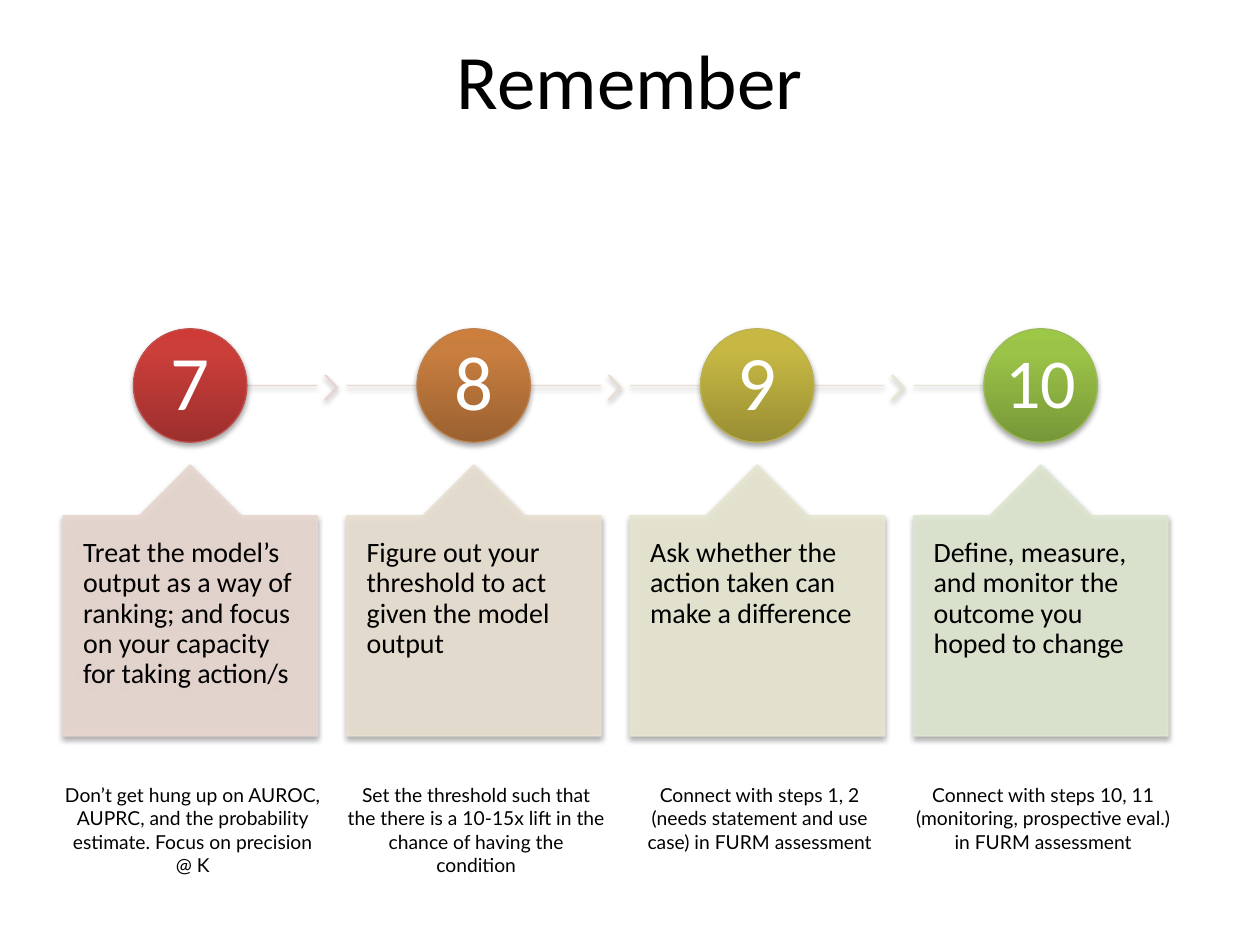
from copy import deepcopy

from lxml.etree import SubElement
from pptx import Presentation
from pptx.dml.color import RGBColor
from pptx.enum.shapes import MSO_CONNECTOR as Connector, MSO_SHAPE as Shape
from pptx.enum.text import MSO_ANCHOR as Anchor, MSO_AUTO_SIZE as AutoSize, PP_ALIGN as Align
from pptx.oxml.ns import qn
from pptx.util import Emu, Pt

SCALE = 9144
COLORS = {
    "black": "000000", "white": "FFFFFF",
    "7_dark": "9C2F2D", "7_mid": "CB3E3A", "7_light": "CE3B37", "7_edge": "C0504D",
    "7_track": "E8D0D0", "7_chevron": "E8D3D0", "7_callout": "E8D7D0",
    "8_dark": "9A6130", "8_mid": "C87E3F", "8_light": "CC7E3C", "8_edge": "BE8351",
    "8_track": "E8DAD0", "8_chevron": "E8DDD0", "8_callout": "E8E0D1",
    "9_dark": "988E34", "9_mid": "C6B843", "9_light": "C9BB41", "9_edge": "BDB255",
    "9_track": "E8E2D1", "9_chevron": "E7E5D1", "9_callout": "E7E7D1",
    "10_dark": "779737", "10_mid": "9BC348", "10_light": "9DC746", "10_edge": "9BBB59",
    "10_track": "E4E7D1", "10_callout": "DEE7D1",
}
STEPS = [
    ("7", 44, "Treat the model’s output as a way of ranking; and focus on your capacity for taking action/s",
     "Don’t get hung up on AUROC, AUPRC, and the probability estimate. Focus on precision @ K"),
    ("8", 44, "Figure out your threshold to act given the model output",
     "Set the threshold such that the there is a 10-15x lift in the chance of having the condition"),
    ("9", 44, "Ask whether the action taken can make a difference",
     "Connect with steps 1, 2\n(needs statement and use case) in FURM assessment"),
    ("10", 40, "Define, measure, and monitor the outcome you hoped to change",
     "Connect with steps 10, 11 (monitoring, prospective eval.)\nin FURM assessment"),
]
LEFT, PITCH, CARD_WIDTH = 50, 225, 202
CIRCLE, TRACK_Y = 90, 306


def px(value):
    return Emu(value * SCALE)


def rgb(name):
    return RGBColor.from_string(COLORS[name])


def write_text(shape, text, size=16, font="Calibri", color="black", align=Align.LEFT,
               anchor=Anchor.TOP, insets=(0, 0), spacing=None, wrap=True):
    frame = shape.text_frame
    frame.word_wrap = wrap
    frame.vertical_anchor = anchor
    frame.margin_left = frame.margin_right = px(insets[0])
    frame.margin_top = frame.margin_bottom = px(insets[1])
    frame.text = text
    for paragraph in frame.paragraphs:
        paragraph.alignment = align
        paragraph.line_spacing = spacing
        paragraph.font.size = Pt(size)
        paragraph.font.name = font
        paragraph.font.color.rgb = rgb(color)


class SlideBuilder:
    def __init__(self, slide):
        self.slide = slide
        self.line_width = Pt(0.75)
        self.opacity = "90000"

    def add_shadow(self, properties):
        effects = properties.find(qn("a:effectLst"))
        if effects is None:
            effects = SubElement(properties, qn("a:effectLst"))
        shadow = SubElement(effects, qn("a:outerShdw"), blurRad="40000", dist="23000",
                            dir="5400000", rotWithShape="0")
        color = SubElement(shadow, qn("a:srgbClr"), val=COLORS["black"])
        SubElement(color, qn("a:alpha"), val="35000")

    def soften(self, properties):
        for color in list(properties.iter(qn("a:srgbClr"))):
            SubElement(color, qn("a:alpha"), val=self.opacity)

    def title(self, text):
        title = self.slide.shapes.title
        title.left, title.top, title.width, title.height = px(0), px(0), px(1000), px(125)
        write_text(title, text, size=44, align=Align.CENTER, anchor=Anchor.MIDDLE, insets=(10, 5))

    def shape(self, kind, left, top, width, height, edge, adjustments=()):
        shape = self.slide.shapes.add_shape(kind, px(left), px(top), px(width), px(height))
        for index, value in enumerate(adjustments):
            shape.adjustments[index] = value
        shape.line.color.rgb = rgb(edge)
        shape.line.width = self.line_width
        shape.shadow.inherit = False
        return shape

    def tinted(self, kind, left, top, width, height, color, adjustments):
        shape = self.shape(kind, left, top, width, height, color, adjustments)
        shape.fill.solid()
        shape.fill.fore_color.rgb = rgb(color)
        self.soften(shape._element.spPr)
        self.add_shadow(shape._element.spPr)
        return shape

    def track(self, start, end, color):
        line = self.slide.shapes.add_connector(
            Connector.STRAIGHT, px(start), px(TRACK_Y), px(end), px(TRACK_Y))
        line.line.color.rgb = rgb(color)
        line.line.width = self.line_width
        self.soften(line._element.spPr)
        self.add_shadow(line._element.spPr)

    def chevron(self, left, color):
        self.tinted(Shape.CHEVRON, left, 298, 10, 19, color, [0.9])

    def circle(self, center, number, size):
        circle = self.shape(Shape.OVAL, center - CIRCLE // 2, TRACK_Y - CIRCLE // 2,
                            CIRCLE, CIRCLE, f"{number}_edge")
        circle.fill.gradient()
        circle.fill.gradient_angle = 90
        stop_list = circle._element.spPr.find(".//" + qn("a:gsLst"))
        stop_list.append(deepcopy(stop_list[-1]))
        shades = zip(circle.fill.gradient_stops, ("dark", "mid", "light"), (0, 0.8, 1))
        for stop, shade, position in shades:
            stop.color.rgb = rgb(f"{number}_{shade}")
            stop.position = position
        self.add_shadow(circle._element.spPr)
        write_text(circle, number, size=size, color="white", align=Align.CENTER,
                   anchor=Anchor.MIDDLE, insets=(3, 3), spacing=0.9, wrap=False)

    def callout(self, left, text, color):
        callout = self.tinted(Shape.UP_ARROW_CALLOUT, left, 369, CARD_WIDTH, 215,
                              color, [0.5, 0.2, 0.2, 1])
        write_text(callout, text, insets=(16, 18), spacing=0.9)

    def caption(self, left, text):
        box = self.slide.shapes.add_textbox(px(left), px(617), px(206), px(66))
        write_text(box, text, size=11, font="Lato", align=Align.CENTER, insets=(0, 5))
        box.text_frame.auto_size = AutoSize.SHAPE_TO_FIT_TEXT


def main():
    presentation = Presentation()
    presentation.slide_width, presentation.slide_height = px(1000), px(750)
    builder = SlideBuilder(presentation.slides.add_slide(presentation.slide_layouts[5]))
    builder.title("Remember")
    last = len(STEPS) - 1
    for index, (number, size, advice, note) in enumerate(STEPS):
        left = LEFT + index * PITCH
        center, right = left + CARD_WIDTH // 2, left + CARD_WIDTH
        builder.track(center if index == 0 else left, center if index == last else right,
                      f"{number}_track")
        if index < last:
            builder.chevron(right + 6, f"{number}_chevron")
        builder.circle(center, number, size)
        builder.callout(left, advice, f"{number}_callout")
        builder.caption(left, note)
    presentation.save("out.pptx")


if __name__ == "__main__":
    main()
